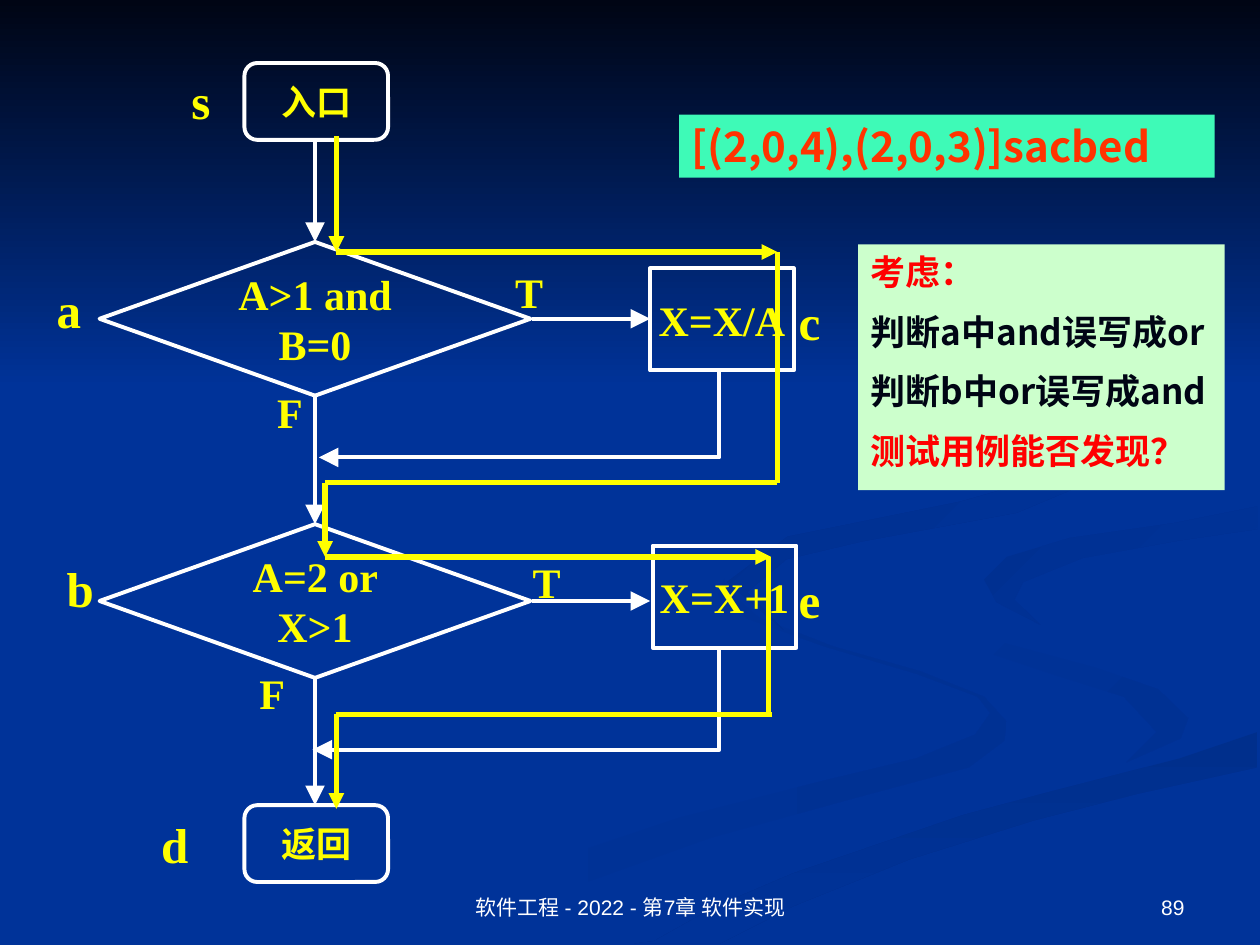
"""Build the flowchart slide that traces the path sacbed on a 1000 by 750 cell grid."""
from dataclasses import dataclass
from typing import NamedTuple

from lxml.etree import SubElement
from pptx import Presentation
from pptx.dml.color import RGBColor
from pptx.enum.shapes import MSO_CONNECTOR as Link, MSO_SHAPE as Kind
from pptx.enum.text import MSO_ANCHOR as Anchor, PP_ALIGN as Align
from pptx.oxml.ns import qn
from pptx.util import Inches, Pt

CELL = Inches(0.01)
COLUMNS, ROWS = 1000, 750


@dataclass(frozen=True)
class Theme:
    ground: str = "003399"
    night: str = "000514"
    shade: str = "002F8E"
    white: str = "FFFFFF"
    yellow: str = "FFFF00"
    mint: str = "3EFAB7"
    pale: str = "CCFFCC"
    orange: str = "FF3300"
    red: str = "FF0000"
    serif: str = "Times New Roman"
    sans: str = "Arial"
    cjk: str = "Noto Sans CJK SC"
    label: int = 28
    code: int = 24
    note: int = 20
    footer: int = 12
    flow: float = 2.25
    trace: float = 3


THEME = Theme()


class Area(NamedTuple):
    left: float
    top: float
    width: float
    height: float


class Node(NamedTuple):
    kind: Kind
    area: Area
    text: str
    size: int
    inset: float


class Label(NamedTuple):
    area: Area
    text: str
    size: int


class Arrow(NamedTuple):
    start: tuple
    end: tuple
    head: bool = True


class Wave(NamedTuple):
    points: list
    first: str
    last: str
    angle: int


AXIS, BRANCH, BOX_LEFT = 250, 422, 516
DIAMOND_LEFT, DIAMOND_WIDTH, DIAMOND_HEIGHT = 79, 342, 122
TERMINAL = (194, 114, 61)
TOP_ROW, FIRST_ROW, SECOND_ROW, END_ROW = 50, 192, 416, 639
STEM = DIAMOND_HEIGHT // 2

NODES = [
    *(Node(Kind.FLOWCHART_ALTERNATE_PROCESS, Area(TERMINAL[0], row, *TERMINAL[1:]), text, THEME.note, 0.1)
      for row, text in ((TOP_ROW, "入口"), (END_ROW, "返回"))),
    *(Node(Kind.FLOWCHART_DECISION, Area(DIAMOND_LEFT, row, DIAMOND_WIDTH, DIAMOND_HEIGHT), text, THEME.code, 0.1)
      for row, text in ((FIRST_ROW, "A>1 and B=0"), (SECOND_ROW, "A=2 or X>1"))),
    *(Node(Kind.FLOWCHART_PROCESS, Area(left, top, 114, 81), text, THEME.code, 0.02)
      for left, top, text in ((BOX_LEFT, 213, "X=X/A"), (BOX_LEFT + 2, 433, "X=X+1"))),
]
LABELS = [
    Label(Area(142, 58, 41, 42), "s", THEME.label),
    Label(Area(35, 218, 49, 55), "a", THEME.label),
    Label(Area(43, 446, 33, 41), "b", THEME.label),
    Label(Area(624, 224, 42, 61), "c", THEME.label),
    Label(Area(118, 639, 76, 61), "d", THEME.label),
    Label(Area(624, 445, 42, 61), "e", THEME.label),
    Label(Area(399, 201, 57, 61), "T", THEME.code),
    Label(Area(413, 431, 57, 61), "T", THEME.code),
    Label(Area(210, 296, 38, 61), "F", THEME.code),
    Label(Area(196, 525, 60, 50), "F", THEME.code),
]
FLOW = [
    Arrow((AXIS, TOP_ROW + TERMINAL[2]), (AXIS, FIRST_ROW)),
    Arrow((AXIS, FIRST_ROW + DIAMOND_HEIGHT), (AXIS, SECOND_ROW)),
    Arrow((AXIS, SECOND_ROW + DIAMOND_HEIGHT), (AXIS, END_ROW)),
    *(Arrow((BRANCH, row + STEM), (BOX_LEFT, row + STEM)) for row in (FIRST_ROW, SECOND_ROW)),
]
RETURNS = [
    [(571, 294), (571, 363), (253, 363)],
    [(571, 514), (571, 595), (248, 595)],
]
TRACE = [
    Arrow((267, 108), (267, 200)),
    Arrow((267, 200), (617, 200)),
    Arrow((617, 200), (617, 383), False),
    Arrow((617, 383), (258, 383), False),
    Arrow((258, 383), (258, 442)),
    Arrow((258, 442), (612, 442)),
    Arrow((610, 442), (610, 567), False),
    Arrow((613, 567), (267, 567), False),
    Arrow((267, 567), (267, 642)),
]
WAVES = [
    Wave([(781, 553), (731, 533), (661, 513), (602, 490), (575, 466), (575, 459), (570, 472), (593, 491),
          (654, 513), (728, 535), (776, 553), (786, 566), (774, 583), (727, 602), (652, 620), (539, 649),
          (417, 690), (300, 749), (361, 749), (466, 700), (564, 665), (676, 634), (769, 609), (797, 588),
          (799, 573)], THEME.ground, "003193", 0),
    Wave([(943, 570), (919, 547), (870, 530), (792, 509), (745, 490), (724, 464), (730, 484), (766, 512),
          (838, 536), (892, 553), (918, 581), (894, 605), (937, 586)], THEME.ground, "003193", 315),
    Wave([(503, 749), (571, 749), (630, 719), (722, 682), (821, 651), (903, 630), (998, 609), (998, 581),
          (936, 602), (831, 629), (764, 647), (630, 693), (569, 719), (519, 747)], "002F8C", THEME.ground, 270),
    Wave([(781, 460), (791, 478), (826, 496), (805, 476), (812, 462), (859, 443), (936, 429), (998, 420),
          (998, 402), (933, 415), (849, 427), (799, 442)], "003091", THEME.ground, 315),
    Wave([(683, 430), (807, 407), (876, 378), (894, 344), (873, 299), (821, 261), (762, 233), (846, 279),
          (889, 335), (861, 370), (763, 398), (625, 426), (577, 462), (622, 500), (593, 470), (624, 444)],
         THEME.shade, THEME.ground, 315),
    Wave([(0, 0), (0, 308), (1000, 308), (1000, 0)], THEME.night, THEME.ground, 270),
]
NOTES = [
    ("考虑：", THEME.red),
    ("判断a中and误写成or", THEME.night),
    ("判断b中or误写成and", THEME.night),
    ("测试用例能否发现？", THEME.red),
]


def grid(area: Area) -> list:
    """Turn grid cells into slide lengths."""
    return [round(value * CELL) for value in area]


def style_text(para, font: str, size: int, color: str, bold: bool = True) -> None:
    """Format every run of a paragraph, Chinese glyphs included."""
    for span in para.runs:
        span.font.name, span.font.size, span.font.bold = font, Pt(size), bold
        span.font.color.rgb = RGBColor.from_string(color)
        SubElement(span._r.get_or_add_rPr(), qn("a:ea")).set("typeface", THEME.cjk)


def style_line(shape, color: str, width: float, head: str = "") -> None:
    """Set the outline and, when a size is given, its arrowhead."""
    shape.line.color.rgb = RGBColor.from_string(color)
    shape.line.width = Pt(width)
    if head:
        tail = SubElement(shape.element.spPr.find(qn("a:ln")), qn("a:tailEnd"))
        for key, value in (("type", "triangle"), ("w", head), ("len", head)):
            tail.set(key, value)


def draw_outline(page, points: list, close: bool):
    """Draw a path through grid points."""
    builder = page.shapes.build_freeform(*points[0], scale=CELL)
    builder.add_line_segments(points[1:], close=close)
    shape = builder.convert_to_shape()
    shape.shadow.inherit = False
    return shape


def draw_wave(page, wave: Wave) -> None:
    """Draw a background shape with a two-colour gradient."""
    shape = draw_outline(page, wave.points, True)
    shape.line.fill.background()
    shape.fill.gradient()
    shape.fill.gradient_angle = wave.angle
    for stop, color in zip(shape.fill.gradient_stops, (wave.first, wave.last)):
        stop.color.rgb = RGBColor.from_string(color)


def draw_arrow(page, arrow: Arrow, color: str, width: float, head: str) -> None:
    """Draw a straight connector."""
    ends = [value * CELL for value in (*arrow.start, *arrow.end)]
    link = page.shapes.add_connector(Link.STRAIGHT, *ends)
    style_line(link, color, width, head if arrow.head else "")
    SubElement(link.element.spPr, qn("a:effectLst"))


def draw_node(page, node: Node) -> None:
    """Draw a flowchart symbol with its text."""
    box = page.shapes.add_shape(node.kind, *grid(node.area))
    box.shadow.inherit = False
    box.fill.background()
    style_line(box, THEME.white, THEME.flow)
    frame = box.text_frame
    frame.word_wrap, frame.vertical_anchor, frame.text = True, Anchor.MIDDLE, node.text
    frame.margin_left = frame.margin_right = Inches(node.inset)
    frame.paragraphs[0].alignment = Align.CENTER
    style_text(frame.paragraphs[0], THEME.serif, node.size, THEME.yellow)


def draw_text(page, label: Label, font: str, color: str, anchor: Anchor, align: Align, bold: bool) -> None:
    """Draw a one-line text box."""
    frame = page.shapes.add_textbox(*grid(label.area)).text_frame
    frame.word_wrap, frame.vertical_anchor, frame.text = True, anchor, label.text
    frame.paragraphs[0].alignment = align
    style_text(frame.paragraphs[0], font, label.size, color, bold)


def draw_panel(page, area: Area, fill: str, lines: list, size: int, hang: float) -> None:
    """Draw a filled panel with hanging paragraphs."""
    box = page.shapes.add_shape(Kind.RECTANGLE, *grid(area))
    box.shadow.inherit = False
    box.fill.solid()
    box.fill.fore_color.rgb = RGBColor.from_string(fill)
    box.line.fill.background()
    frame = box.text_frame
    frame.word_wrap, frame.vertical_anchor = True, Anchor.TOP
    frame.text = "\n".join(text for text, _ in lines)
    for index, (para, (_, color)) in enumerate(zip(frame.paragraphs, lines)):
        para.alignment, para.line_spacing = Align.LEFT, Pt(size * 1.2)
        para.space_before = Pt(size / 2 if index else 0)
        layout = para._p.get_or_add_pPr()
        layout.set("marL", str(Inches(hang)))
        layout.set("indent", str(-Inches(hang)))
        style_text(para, THEME.cjk, size, color)


def main() -> None:
    """Assemble and save the deck."""
    deck = Presentation()
    deck.slide_width, deck.slide_height = COLUMNS * CELL, ROWS * CELL
    page = deck.slides.add_slide(deck.slide_layouts[6])
    page.background.fill.solid()
    page.background.fill.fore_color.rgb = RGBColor.from_string(THEME.ground)
    for wave in WAVES:
        draw_wave(page, wave)
    for label in LABELS:
        draw_text(page, label, THEME.serif, THEME.yellow, Anchor.MIDDLE, Align.LEFT, True)
    for arrow in FLOW:
        draw_arrow(page, arrow, THEME.white, THEME.flow, "lg")
    for node in NODES:
        draw_node(page, node)
    for points in RETURNS:
        route = draw_outline(page, points, False)
        route.fill.background()
        style_line(route, THEME.white, THEME.flow, "lg")
    for arrow in TRACE:
        draw_arrow(page, arrow, THEME.yellow, THEME.trace, "med")
    draw_panel(page, Area(539, 91, 425, 50), THEME.mint, [("[(2,0,4),(2,0,3)]sacbed", THEME.orange)], THEME.code, 0)
    draw_panel(page, Area(681, 194, 291, 195), THEME.pale, NOTES, THEME.note, 0.38)
    for area, text, align in ((Area(342, 683, 317, 52), "软件工程 - 2022 - 第7章 软件实现", Align.CENTER),
                              (Area(717, 683, 233, 52), "89", Align.RIGHT)):
        draw_text(page, Label(area, text, THEME.footer), THEME.sans, THEME.white, Anchor.BOTTOM, align, False)
    deck.save("out.pptx")


if __name__ == "__main__":
    main()
